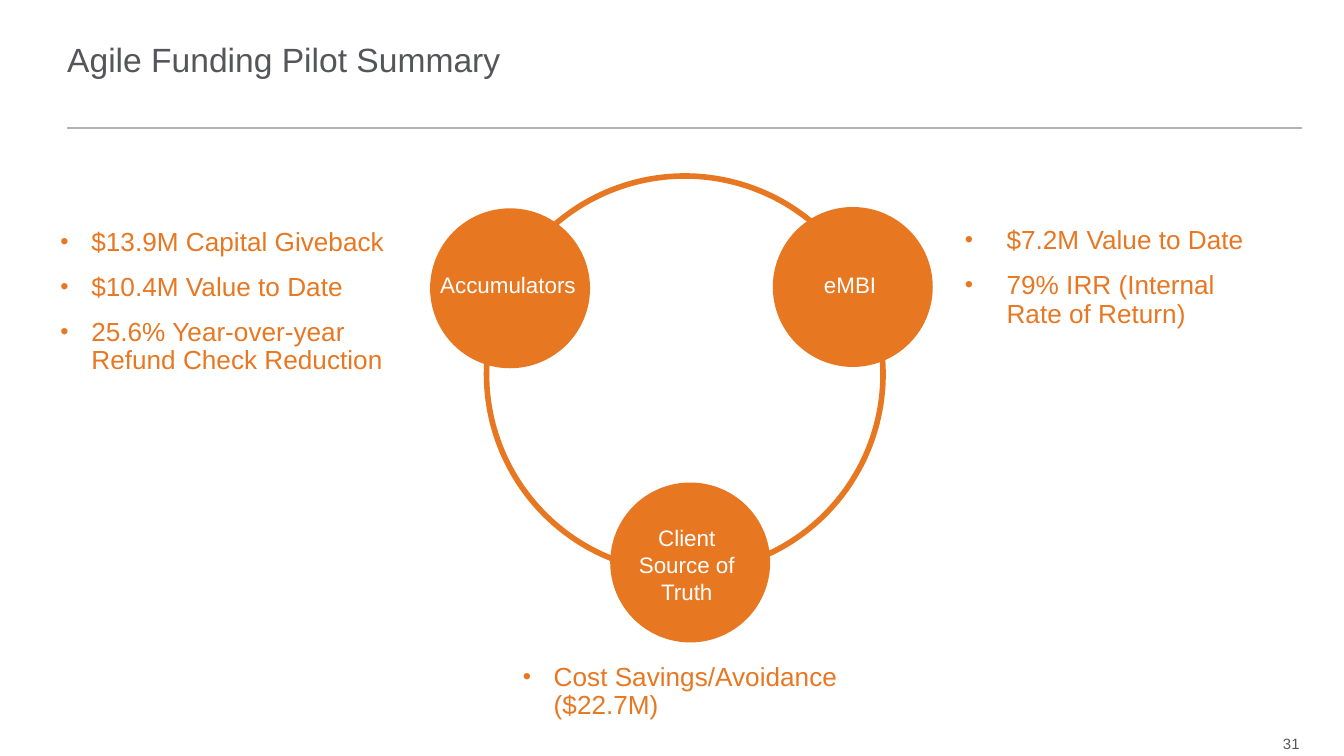
import lxml.etree
import pptx
import pptx.dml.color
import pptx.enum.shapes
import pptx.enum.text
import pptx.oxml.ns
import pptx.util

Inches = pptx.util.Inches
Pt = pptx.util.Pt
ALIGN = pptx.enum.text.PP_ALIGN
ANCHOR = pptx.enum.text.MSO_ANCHOR
qn = pptx.oxml.ns.qn


def color(hex_string):
    return pptx.dml.color.RGBColor.from_string(hex_string)


class SlideBuilder:
    font = "Arial"
    orange = "E87722"
    gray = "55565A"
    rule_gray = "B1B3B3"
    white = "FFFFFF"

    def __init__(self, presentation):
        comparison_layout = presentation.slide_layouts[4]
        self.slide = presentation.slides.add_slide(comparison_layout)
        self.bodies = list(self.slide.placeholders)[1:]

    def place(self, shape, left, top, width, height):
        shape.left, shape.top = Inches(left), Inches(top)
        shape.width, shape.height = Inches(width), Inches(height)

    def frame(self, shape, anchor, margins, wrap=True):
        text_frame = shape.text_frame
        text_frame.auto_size = pptx.enum.text.MSO_AUTO_SIZE.NONE
        text_frame.word_wrap = wrap
        text_frame.vertical_anchor = anchor
        horizontal, vertical = (Inches(margin) for margin in margins)
        text_frame.margin_left = text_frame.margin_right = horizontal
        text_frame.margin_top = text_frame.margin_bottom = vertical
        return text_frame

    def format(self, text_frame, size, hex_string, alignment):
        for paragraph in text_frame.paragraphs:
            paragraph.alignment = alignment
            for run in paragraph.runs:
                run.font.name = self.font
                run.font.size = Pt(size)
                run.font.bold = False
                run.font.color.rgb = color(hex_string)

    def title(self, text, *box):
        shape = self.slide.shapes.title
        self.place(shape, *box)
        text_frame = self.frame(shape, ANCHOR.MIDDLE, (0, 0))
        text_frame.text = text
        self.format(text_frame, 18, self.gray, ALIGN.LEFT)

    def rule(self, left, right, y):
        line = self.slide.shapes.add_connector(
            pptx.enum.shapes.MSO_CONNECTOR.STRAIGHT,
            Inches(left), Inches(y), Inches(right), Inches(y))
        line.line.color.rgb = color(self.rule_gray)
        line.line.width = Pt(1)
        properties = line._element.find(qn("p:spPr"))
        lxml.etree.SubElement(properties, qn("a:effectLst"))

    def circle(self, left, top, diameter, fill, outlined=False):
        shape = self.slide.shapes.add_shape(
            pptx.enum.shapes.MSO_SHAPE.OVAL, Inches(left), Inches(top),
            Inches(diameter), Inches(diameter))
        shape.shadow.inherit = False
        shape.fill.solid()
        shape.fill.fore_color.rgb = color(fill)
        if outlined:
            shape.line.color.rgb = color(self.orange)
            shape.line.width = Pt(3)
        else:
            shape.line.fill.background()

    def label(self, text, box, size=12, hex_string=white, alignment=ALIGN.CENTER,
              anchor=ANCHOR.TOP, margins=(0.1, 0.05)):
        shape = self.slide.shapes.add_textbox(*(Inches(value) for value in box))
        text_frame = self.frame(shape, anchor, margins, wrap=False)
        text_frame.text = text
        self.format(text_frame, size, hex_string, alignment)

    def bullet(self, paragraph, indent):
        properties = paragraph._p.get_or_add_pPr()
        properties.set("marL", str(Inches(indent)))
        properties.set("indent", str(-Inches(indent)))
        bullet_color = lxml.etree.SubElement(properties, qn("a:buClr"))
        lxml.etree.SubElement(bullet_color, qn("a:srgbClr"), val=self.orange)
        lxml.etree.SubElement(properties, qn("a:buSzPct"), val="90000")
        lxml.etree.SubElement(properties, qn("a:buFont"), typeface=self.font)
        lxml.etree.SubElement(properties, qn("a:buChar"), char="•")

    def bullet_list(self, items, box, indent=0.23):
        shape = self.bodies.pop(0)
        self.place(shape, *box)
        text_frame = self.frame(shape, ANCHOR.TOP, (0.2, 0.16))
        text_frame.text = "\n".join(items)
        for index, paragraph in enumerate(text_frame.paragraphs):
            self.bullet(paragraph, indent)
            paragraph.line_spacing = 0.9
            paragraph.space_before = Pt(9 if index else 0)
            paragraph.space_after = Pt(0)
        self.format(text_frame, 14, self.orange, ALIGN.LEFT)

    def remove_empty_bodies(self):
        for shape in self.bodies:
            shape._element.getparent().remove(shape._element)


def main():
    presentation = pptx.Presentation()
    presentation.slide_width = Inches(10)
    presentation.slide_height = Inches(10 * 9 / 16)

    builder = SlideBuilder(presentation)
    builder.title("Agile Funding Pilot Summary", 0.5, 0.07, 7.33, 0.74)
    builder.rule(0.5, 9.69, 0.95)
    builder.circle(3.62, 1.31, 2.95, builder.white, outlined=True)

    nodes = [
        ("Accumulators", 3.2, 1.55, (3.17, 1.97, 1.22, 0.3)),
        ("eMBI", 5.75, 1.54, (6.03, 1.97, 0.59, 0.3)),
        ("Client\nSource of\nTruth", 4.54, 3.59, (4.65, 3.85, 0.92, 0.71)),
    ]
    for text, left, top, label_box in nodes:
        builder.circle(left, top, 1.19, builder.orange)
        builder.label(text, label_box)

    builder.bullet_list(
        ["$13.9M Capital Giveback", "$10.4M Value to Date",
         "25.6% Year-over-year Refund Check Reduction"],
        (0.25, 1.54, 3.17, 1.42))
    builder.bullet_list(
        ["$7.2M Value to Date", "79% IRR (Internal Rate of Return)"],
        (6.98, 1.53, 2.68, 1.35), indent=0.31)
    builder.bullet_list(
        ["Cost Savings/Avoidance ($22.7M)"], (3.69, 4.78, 2.9, 0.75))
    builder.remove_empty_bodies()

    builder.label("31", (9.25, 5.43, 0.42, 0.2), 8, builder.gray,
                  ALIGN.RIGHT, ANCHOR.MIDDLE, (0, 0))
    presentation.save("out.pptx")


if __name__ == "__main__":
    main()
